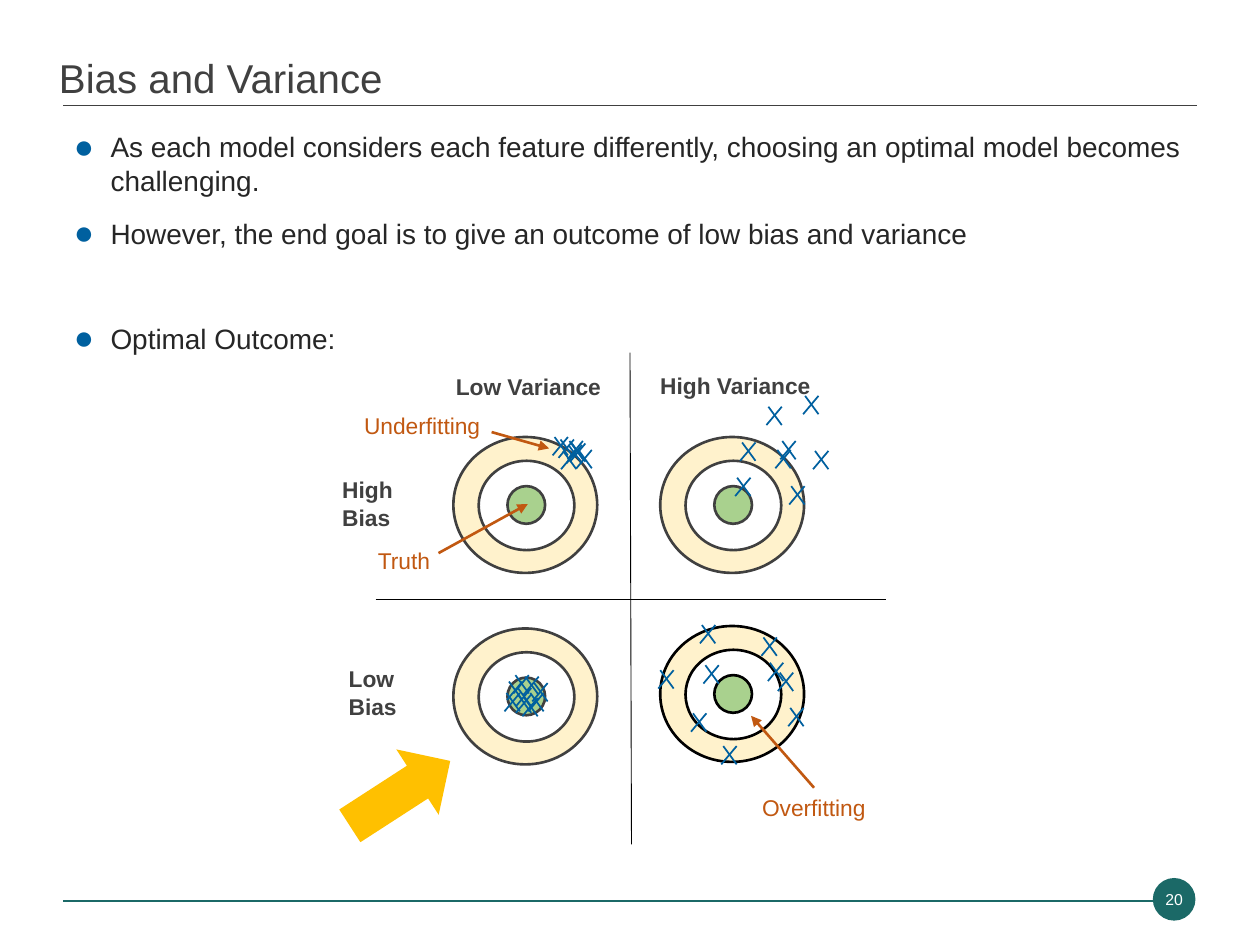
"""Build the bias and variance slide with its four targets."""
from lxml import etree
from pptx import Presentation
from pptx import util as u
from pptx.dml.color import RGBColor
from pptx.enum import shapes, text
from pptx.oxml.ns import qn

COLOURS = {
    "teal": "1B6967", "blue": "00609F", "grey": "404040", "ink": "262626",
    "black": "000000", "white": "FFFFFF", "cream": "FFF2CC", "green": "A9D18E",
    "rust": "C15811", "gold": "FFC000",
}
RINGS = [
    ("cream", 0, 0, 2.9, 2.74),
    ("white", 0.51, 0.48, 1.93, 1.8),
    ("green", 1.09, 0.99, 0.76, 0.76),
]
QUADRANTS = [
    (9.14, 8.81, "grey", [
        (11.3, 8.86), (11.48, 8.89), (11.35, 9.09), (11.53, 8.94),
        (11.18, 8.81), (11.66, 9.07), (11.46, 8.97)]),
    (13.31, 8.81, "grey", [
        (14.86, 9.63), (15.95, 9.8), (15.77, 8.89), (16.43, 9.09),
        (15.49, 8.2), (14.96, 8.92), (16.23, 7.98), (15.67, 9.07)]),
    (13.31, 12.62, "black", [
        (15.93, 14.27), (15.52, 13.36), (15.72, 13.56), (15.39, 12.85),
        (14.22, 13.41), (13.97, 14.38), (13.31, 13.51), (14.15, 12.6),
        (14.58, 15.04)]),
    (9.14, 12.67, "grey", [
        (10.39, 13.61), (10.69, 13.97), (10.44, 14), (10.57, 14.07),
        (10.59, 13.64), (10.26, 13.74), (10.77, 13.77), (10.21, 13.97),
        (10.44, 13.87)]),
]
HEADINGS = [
    ("Low Variance", 8.94, 7.39, 3.76, 0.94),
    ("High Variance", 13.06, 7.37, 3.81, 1.4),
    ("High Bias", 6.65, 9.47, 2.13, 1.4),
    ("Low Bias", 6.78, 13.28, 2.13, 1.4),
]
CALLOUTS = [
    ("Underfitting", 7.09, 8.18, text.PP_ALIGN.LEFT, (9.91, 8.71, 11.07, 9.04)),
    ("Truth", 7.37, 10.9, text.PP_ALIGN.LEFT, (8.84, 11.15, 10.64, 10.16)),
    ("Overfitting", 14.73, 15.88, text.PP_ALIGN.CENTER, (16.41, 15.88, 15.14, 14.43)),
]
POINTS = [
    ("As each model considers each feature differently, choosing an optimal "
     "model becomes challenging.", 0),
    ("However, the end goal is to give an outcome of low bias and variance", 11),
    ("Optimal Outcome:", 41),
]


def colour(name):
    """Return the named colour."""
    return RGBColor.from_string(COLOURS[name])


class Sketch:
    """Holds the style and the current slide."""

    font = "Arial"

    def __init__(self, slide):
        """Keep the slide to draw on."""
        self.slide = slide

    def style(self, paragraph, size, ink, bold=False):
        """Format every run of a paragraph."""
        for run in paragraph.runs:
            run.font.name = self.font
            run.font.size = u.Pt(size)
            run.font.bold = bold
            run.font.color.rgb = colour(ink)

    def label(self, words, box, size, ink, bold=False, align=text.PP_ALIGN.LEFT):
        """Add a wrapped line of text and return its frame."""
        frame = self.slide.shapes.add_textbox(*map(u.Cm, box)).text_frame
        frame.word_wrap = True
        frame.text = words
        frame.paragraphs[0].alignment = align
        self.style(frame.paragraphs[0], size, ink, bold)
        return frame

    def bullets(self, points, box):
        """Add a bulleted list of (words, space before) pairs."""
        frame = self.slide.shapes.add_textbox(*map(u.Cm, box)).text_frame
        frame.word_wrap = True
        for index, (words, gap) in enumerate(points):
            point = frame.add_paragraph() if index else frame.paragraphs[0]
            point.text = words
            point.space_before = u.Pt(gap)
            props = point._p.get_or_add_pPr()
            props.set("marL", str(u.Cm(0.74)))
            props.set("indent", str(u.Cm(-0.74)))
            tint = etree.SubElement(props, qn("a:buClr"))
            etree.SubElement(tint, qn("a:srgbClr"), val=COLOURS["blue"])
            etree.SubElement(props, qn("a:buSzPct"), val="120000")
            etree.SubElement(props, qn("a:buFont"), typeface=self.font)
            etree.SubElement(props, qn("a:buChar"), char="●")
            self.style(point, 16, "ink")

    def shape(self, kind, box, fill, outline=None):
        """Add a filled preset shape."""
        figure = self.slide.shapes.add_shape(kind, *map(u.Cm, box))
        figure.shadow.inherit = False
        figure.fill.solid()
        figure.fill.fore_color.rgb = colour(fill)
        if outline:
            figure.line.color.rgb = colour(outline)
            figure.line.width = u.Pt(1.5)
        else:
            figure.line.fill.background()
        return figure

    def line(self, ends, ink, width, arrow=False):
        """Add a straight line, with an arrowhead at its end if asked."""
        stroke = self.slide.shapes.add_connector(
            shapes.MSO_CONNECTOR.STRAIGHT, *map(u.Cm, ends))
        stroke.line.color.rgb = colour(ink)
        stroke.line.width = u.Pt(width)
        if arrow:
            etree.SubElement(stroke.line._get_or_add_ln(), qn("a:tailEnd"), type="triangle")
        etree.SubElement(stroke._element.spPr, qn("a:effectLst"))

    def target(self, left, top, outline):
        """Add the three rings of a target."""
        for fill, dx, dy, width, height in RINGS:
            self.shape(shapes.MSO_SHAPE.OVAL, (left + dx, top + dy, width, height),
                       fill, outline)

    def hit(self, x, y):
        """Add one crossed mark."""
        right, bottom = x + 0.27, y + 0.37
        self.line((x, y, right, bottom), "blue", 1)
        self.line((right, y, x - 0.04, bottom), "blue", 1)

    def badge(self, number, box):
        """Add the round page number."""
        frame = self.shape(shapes.MSO_SHAPE.OVAL, box, "teal").text_frame
        frame.word_wrap = False
        frame.vertical_anchor = text.MSO_ANCHOR.MIDDLE
        frame.text = number
        frame.paragraphs[0].alignment = text.PP_ALIGN.CENTER
        self.style(frame.paragraphs[0], 9, "white")


def main():
    """Build and save the slide."""
    deck = Presentation()
    deck.slide_width, deck.slide_height = u.Cm(25.4), u.Cm(19.05)
    sketch = Sketch(deck.slides.add_slide(deck.slide_layouts[6]))

    sketch.line((1.27, 18.16, 23.52, 18.16), "teal", 1)
    sketch.line((1.27, 2.13, 24.13, 2.13), "grey", 0.5)
    sketch.badge("20", (23.24, 17.7, 0.86, 0.86))
    title = sketch.label("Bias and Variance", (0.94, 0.18, 23.24, 2), 23, "grey")
    title.vertical_anchor = text.MSO_ANCHOR.BOTTOM
    title.paragraphs[0].line_spacing = 0.9
    sketch.bullets(POINTS, (1.24, 2.49, 23.24, 5.28))

    pointer = sketch.shape(shapes.MSO_SHAPE.RIGHT_ARROW, (6.86, 15.21, 2.41, 1.57), "gold")
    pointer.rotation = 327.1
    for left, top, outline, hits in QUADRANTS:
        sketch.target(left, top, outline)
        for x, y in hits:
            sketch.hit(x, y)
    for words, *box in HEADINGS:
        sketch.label(words, box, 13, "grey", bold=True)
    for words, left, top, align, ends in CALLOUTS:
        sketch.label(words, (left, top, 3.35, 0.86), 13, "rust", align=align)
        sketch.line(ends, "rust", 1.5, arrow=True)
    sketch.line((7.57, 12.09, 17.86, 12.09), "black", 0.5)
    sketch.line((12.7, 7.11, 12.73, 17.02), "black", 0.5)
    deck.save("out.pptx")


if __name__ == "__main__":
    main()
